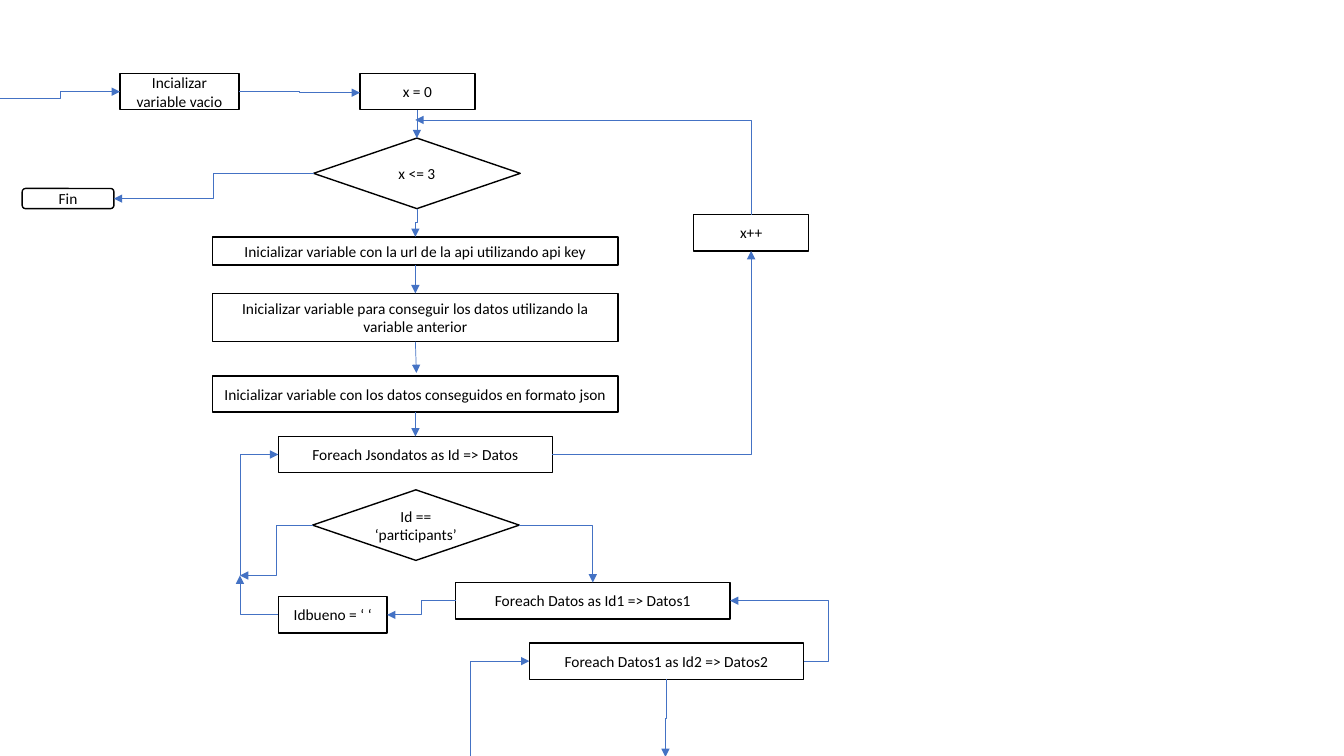
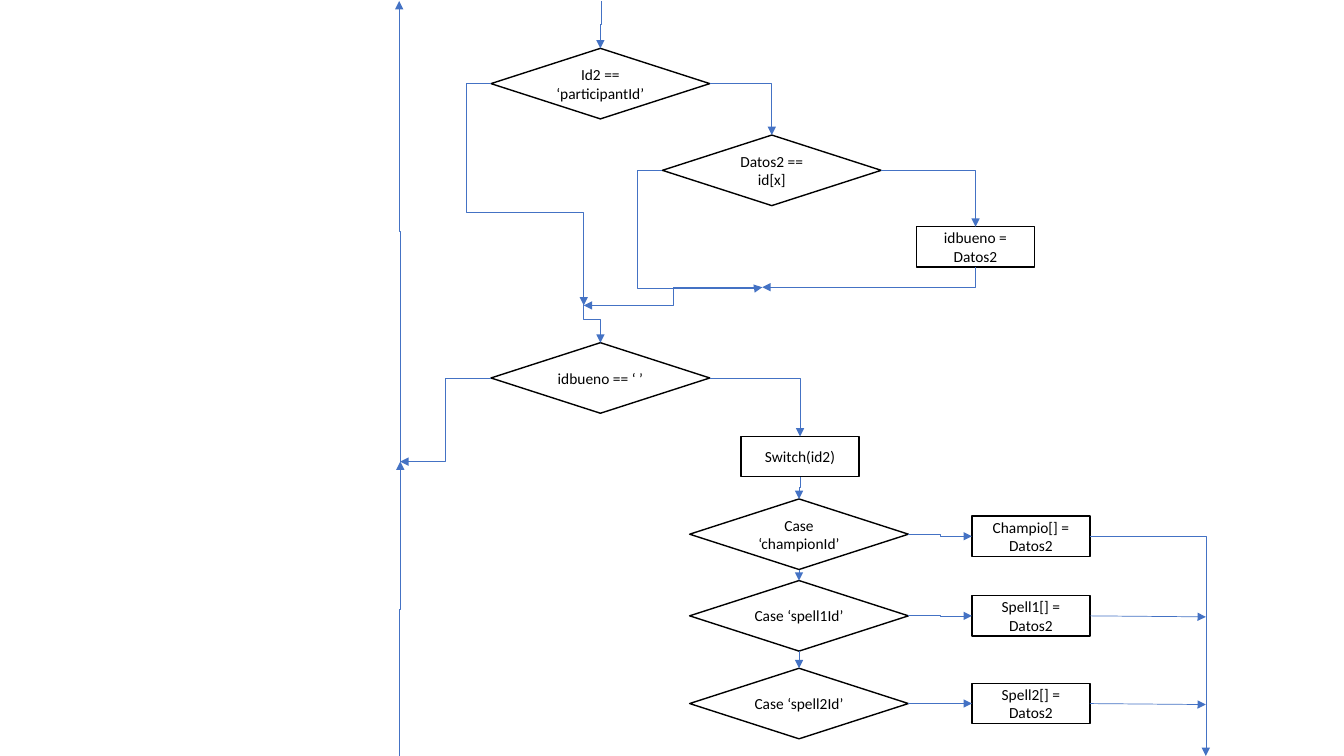
from dataclasses import dataclass

from lxml import etree
from pptx import Presentation
from pptx.dml.color import RGBColor
from pptx.enum.shapes import MSO_CONNECTOR, MSO_SHAPE
from pptx.enum.text import MSO_ANCHOR, PP_ALIGN
from pptx.oxml.ns import qn
from pptx.util import Inches, Pt

RECTANGLE = MSO_SHAPE.RECTANGLE
ROUNDED = MSO_SHAPE.ROUNDED_RECTANGLE
DIAMOND = MSO_SHAPE.DIAMOND
STRAIGHT = MSO_CONNECTOR.STRAIGHT
ELBOW = MSO_CONNECTOR.ELBOW
MIDDLE = MSO_ANCHOR.MIDDLE
CENTER = PP_ALIGN.CENTER
TOP, LEFT, BOTTOM, RIGHT = range(4)
QUARTER_TURN = "5400000"


@dataclass(frozen=True)
class Theme:
    paper: RGBColor = RGBColor(255, 255, 255)
    ink: RGBColor = RGBColor(0, 0, 0)
    arrow: RGBColor = RGBColor(0x44, 0x72, 0xC4)
    font: str = "Calibri"
    text_size: int = Pt(11)
    outline: int = Pt(1)
    arrow_width: int = Pt(0.5)


def apply_format(target, values):
    for name, value in values.items():
        setattr(target, name, value)


def anchor(place):
    shape, side = place
    if isinstance(shape, (int, float)):
        return place
    left, top = shape.left.inches, shape.top.inches
    width, height = shape.width.inches, shape.height.inches
    return {
        TOP: (left + width / 2, top),
        LEFT: (left, top + height / 2),
        BOTTOM: (left + width / 2, top + height),
        RIGHT: (left + width, top + height / 2),
    }[side]


class Flowchart:
    def __init__(self, presentation, theme):
        self.presentation = presentation
        self.theme = theme
        self.slide = None

    def new_slide(self):
        layout = self.presentation.slide_layouts[6]
        self.slide = self.presentation.slides.add_slide(layout)

    def node(self, text, left, top, width, height, kind=RECTANGLE):
        theme = self.theme
        shape = self.slide.shapes.add_shape(
            kind, Inches(left), Inches(top), Inches(width), Inches(height))
        shape.shadow.inherit = False
        shape.fill.solid()
        shape.fill.fore_color.rgb = theme.paper
        shape.line.color.rgb = theme.ink
        shape.line.width = theme.outline
        frame = shape.text_frame
        apply_format(frame, {"word_wrap": True, "vertical_anchor": MIDDLE})
        paragraph = frame.paragraphs[0]
        apply_format(paragraph, {"text": text, "alignment": CENTER})
        font = paragraph.runs[0].font
        apply_format(font, {"name": theme.font, "size": theme.text_size})
        font.color.rgb = theme.ink
        return shape

    def decision(self, text, left, top, width=2.17):
        return self.node(text, left, top, width, 0.7, DIAMOND)

    def action(self, text, left, top):
        return self.node(text, left, top, 1.17, 0.4)

    def connector(self, kind, start, end):
        connector = self.slide.shapes.add_connector(
            kind, *(Inches(value) for value in (*start, *end)))
        connector.line.color.rgb = self.theme.arrow
        connector.line.width = self.theme.arrow_width
        properties = connector._element.spPr
        line = properties.find(qn("a:ln"))
        etree.SubElement(line, qn("a:tailEnd"), type="triangle")
        etree.SubElement(properties, qn("a:effectLst"))
        return connector

    def straight(self, start, end):
        connector = self.connector(STRAIGHT, anchor(start), anchor(end))
        for place, join in ((start, connector.begin_connect),
                            (end, connector.end_connect)):
            if not isinstance(place[0], (int, float)):
                join(*place)

    def elbow(self, start, end, segments=3, vertical=False, adjustments=()):
        points = [anchor(start), anchor(end)]
        if vertical:
            center_x, center_y = (sum(values) / 2 for values in zip(*points))
            points = [(center_x + y - center_y, center_y - x + center_x)
                      for x, y in points]
        connector = self.connector(ELBOW, *points)
        properties = connector._element.spPr
        if vertical:
            properties.find(qn("a:xfrm")).set("rot", QUARTER_TURN)
        geometry = properties.find(qn("a:prstGeom"))
        geometry.set("prst", f"bentConnector{segments}")
        guides = geometry.find(qn("a:avLst"))
        for number, share in enumerate(adjustments, 1):
            etree.SubElement(guides, qn("a:gd"), name=f"adj{number}",
                             fmla=f"val {round(share * 100000)}")


def build_data_loop(chart):
    chart.new_slide()
    empty = chart.node("Incializar variable vacio", 1.19, 0.73, 1.18, 0.36)
    counter = chart.node("x = 0", 3.57, 0.73, 1.14, 0.36)
    limit = chart.decision("x <= 3", 3.11, 1.37, 2.05)
    finish = chart.node("Fin", 0.22, 1.87, 0.91, 0.2, ROUNDED)
    address, request, decoded = (
        chart.node(text, 2.11, top, 4.02, height)
        for text, top, height in (
            ("Inicializar variable con la url de la api utilizando api key",
             2.35, 0.28),
            ("Inicializar variable para conseguir los datos utilizando la "
             "variable anterior", 2.91, 0.48),
            ("Inicializar variable con los datos conseguidos en formato json",
             3.73, 0.36),
        ))
    outer, middle, inner = (
        chart.node(text, left, top, 2.72, 0.36)
        for text, left, top in (
            ("Foreach Jsondatos as Id => Datos", 2.76, 4.33),
            ("Foreach Datos as Id1 => Datos1", 4.52, 5.78),
            ("Foreach Datos1 as Id2 => Datos2", 5.25, 6.38),
        ))
    participants = chart.decision("Id == ‘participants’", 3.1, 4.86, 2.05)
    reset = chart.node("Idbueno = ‘ ‘", 2.76, 5.92, 1.08, 0.36)
    increment = chart.node("x++", 6.88, 2.13, 1.14, 0.36)
    merge = (2.38, 5.71)

    chart.straight((address, BOTTOM), (request, TOP))
    chart.straight((request, BOTTOM), (4.13, 3.7))

    for start, end in (
        ((0, 0.98), (empty, LEFT)),
        ((empty, RIGHT), (3.57, 0.92)),
        ((limit, LEFT), (finish, RIGHT)),
        ((participants, LEFT), merge),
        ((middle, LEFT), (reset, RIGHT)),
    ):
        chart.elbow(start, end)
    chart.elbow((inner, RIGHT), (middle, RIGHT), adjustments=(-0.34,))
    for start, end in (
        ((counter, BOTTOM), (limit, TOP)),
        ((limit, BOTTOM), (address, TOP)),
        ((decoded, BOTTOM), (outer, TOP)),
        ((inner, BOTTOM), (6.6, 7.51)),
    ):
        chart.elbow(start, end, vertical=True)
    for start, end, vertical in (
        ((4.66, 7.5), (inner, LEFT), True),
        ((participants, RIGHT), (middle, TOP), False),
        (merge, (outer, LEFT), True),
        ((reset, LEFT), merge, False),
        ((outer, RIGHT), (increment, BOTTOM), False),
        ((increment, TOP), (4.12, 1.19), True),
    ):
        chart.elbow(start, end, 2, vertical)


def build_cases(chart):
    chart.new_slide()
    participant = chart.decision("Id2 == ‘participantId’", 4.87, 0.48)
    player = chart.decision("Datos2 == id[x]", 6.57, 1.34)
    store = chart.action("idbueno = Datos2", 9.09, 2.25)
    missing = chart.decision("idbueno == ‘ ’", 4.87, 3.4)
    switch = chart.action("Switch(id2)", 7.35, 4.33)
    player_merge, participant_merge = (7.56, 2.85), (5.79, 3.03)
    return_merge = (3.97, 4.58)
    exit_x = 11.96

    previous = switch
    for name, target, case_top, action_top in (
        ("championId", "Champio", 4.95, 5.12),
        ("spell1Id", "Spell1", 5.76, 5.91),
        ("spell2Id", "Spell2", 6.63, 6.78),
    ):
        case = chart.decision(f"Case ‘{name}’", 6.84, case_top)
        assign = chart.action(f"{target}[] = Datos2", 9.64, action_top)
        chart.elbow((previous, BOTTOM), (case, TOP), vertical=True)
        chart.elbow((case, RIGHT), (assign, LEFT))
        if previous is switch:
            chart.elbow((assign, RIGHT), (exit_x, 7.5), 2)
        else:
            chart.straight((assign, RIGHT), (exit_x, action_top + 0.21))
        previous = case

    for start, end in (
        ((5.96, 0.01), (participant, TOP)),
        ((5.79, 2.94), (missing, TOP)),
        ((3.96, 7.51), return_merge),
        (return_merge, (3.96, 0.01)),
    ):
        chart.elbow(start, end, vertical=True)
    for start, end, vertical in (
        ((participant, RIGHT), (player, TOP), False),
        ((player, RIGHT), (store, TOP), False),
        ((store, BOTTOM), player_merge, True),
        ((missing, RIGHT), (switch, TOP), False),
    ):
        chart.elbow(start, end, 2, vertical)
    chart.elbow(player_merge, participant_merge)
    chart.elbow((missing, LEFT), return_merge)
    chart.elbow((player, LEFT), player_merge, 4, adjustments=(-0.25, 1.01))
    chart.elbow((participant, LEFT), participant_merge, 4,
                adjustments=(-0.27, 0.58))


def main():
    presentation = Presentation()
    presentation.slide_width = Inches(13.33)
    presentation.slide_height = Inches(7.5)
    chart = Flowchart(presentation, Theme())
    build_data_loop(chart)
    build_cases(chart)
    presentation.save("out.pptx")


if __name__ == "__main__":
    main()
